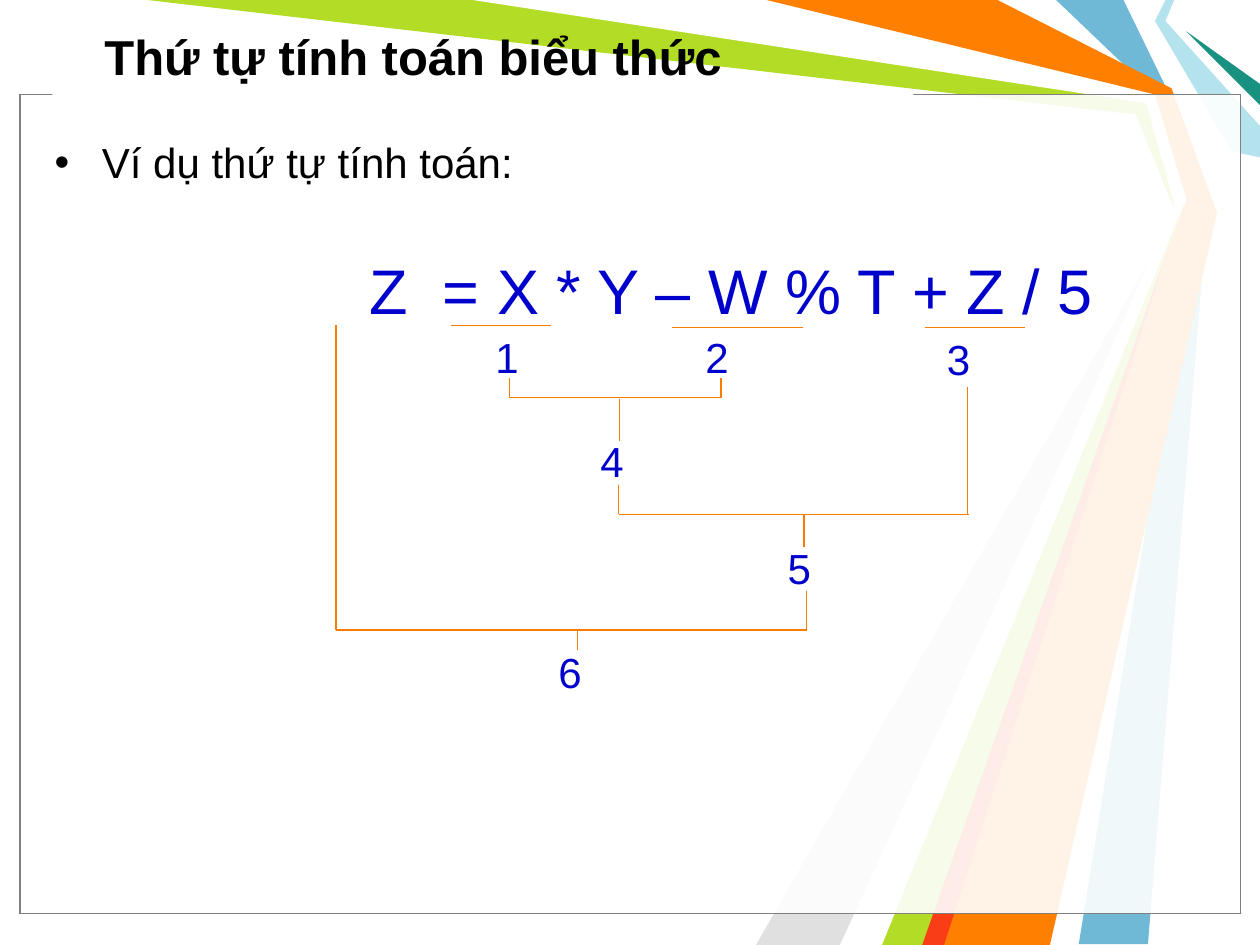
from dataclasses import dataclass
from typing import Any

from lxml.etree import SubElement
from pptx import Presentation
from pptx.dml.color import RGBColor
from pptx.enum.shapes import MSO_CONNECTOR, MSO_SHAPE
from pptx.enum.text import MSO_ANCHOR, MSO_AUTO_SIZE, PP_ALIGN
from pptx.oxml.ns import qn
from pptx.util import Pt

RIBBONS = [
    ("6FB9D7", [(642, 0), (669, 55.5), (690, 120), (656, 539.5), (616.5, 539.5),
                (684, 120), (660, 54), (603.5, 0)]),
    ("B3DC27", [(84, 0), (276, 0), (658, 56), (678, 121.5), (534, 540),
                (498, 540), (673, 124.5), (649, 65.5)]),
    ("E0E0E0", [(480, 540), (667.5, 130.5), (432, 540)]),
    ("FFFFFF", [(270, 0), (655, 59), (671, 116.5), (486, 540), (504, 540),
                (677.5, 114), (660, 54), (432, 0)]),
    ("B4E3EE", [(666, 0), (660, 12), (704, 86.5), (720, 90), (720, 72),
                (666, 12), (671, 0)]),
    ("189180", [(720, 60), (678, 18), (720, 48)]),
    ("FF7F00", [(438, 0), (570, 0), (669.5, 50.5), (695.5, 121.5), (600, 540),
                (528, 540), (678, 114), (660, 54)]),
    ("F93D17", [(527, 540), (671, 132), (539.5, 540)]),
]
STEPS = [(276, 186), (396, 186), (534, 187), (336, 245.5), (443, 306.5), (312, 366)]
UNDERLINES = [(258, 315, 186), (384, 459, 187), (528.5, 585.5, 187)]
BRACKETS = [(291.5, 411.5, 227), (354, 553.5, 294), (192, 461, 360)]
STEMS = [(291, 216, 227.5), (412, 216, 227.5), (354, 228, 252), (553, 221, 294),
         (353.5, 277, 294), (459.5, 294, 312.5), (461, 337.5, 360),
         (192, 186, 360), (330, 360, 371.5)]


def color(value):
    """Turn a hex string into a colour."""
    return RGBColor.from_string(value)


def write(paragraph, text, size=24, ink="000000", bold=False, align=PP_ALIGN.LEFT, before=0):
    """Put formatted text into a paragraph."""
    paragraph.alignment = align
    paragraph.space_before = Pt(before)
    run = paragraph.add_run()
    run.text = text
    run.font.name = "Arial"
    run.font.size = Pt(size)
    run.font.bold = bold
    run.font.color.rgb = color(ink)


def indent(paragraph, margin, hanging=0, bullet=None):
    """Set the indent and the bullet of a paragraph."""
    properties = paragraph._p.get_or_add_pPr()
    properties.set("marL", str(Pt(margin)))
    properties.set("indent", str(-Pt(hanging)))
    if bullet:
        SubElement(properties, qn("a:buChar")).set("char", bullet)
    else:
        SubElement(properties, qn("a:buNone"))


@dataclass
class SlideBuilder:
    """Hold the style and the current slide."""

    slide: Any
    ink: str = "0000CC"
    accent: str = "F97C00"

    def ribbon(self, fill, points):
        """Draw a filled polygon."""
        corners = [(Pt(x), Pt(y)) for x, y in points]
        builder = self.slide.shapes.build_freeform(*corners[0])
        builder.add_line_segments(corners[1:], close=True)
        self.paint(builder.convert_to_shape(), fill)

    def panel(self, left, top, width, height, line=None, opacity=100):
        """Draw a white rectangle."""
        shape = self.slide.shapes.add_shape(
            MSO_SHAPE.RECTANGLE, Pt(left), Pt(top), Pt(width), Pt(height))
        self.paint(shape, "FFFFFF", line)
        if opacity < 100:
            tint = shape._element.spPr.find(qn("a:solidFill"))[0]
            SubElement(tint, qn("a:alpha")).set("val", str(opacity * 1000))

    def paint(self, shape, fill, line=None):
        """Set the fill and the outline of a shape."""
        shape.shadow.inherit = False
        shape.fill.solid()
        shape.fill.fore_color.rgb = color(fill)
        if line:
            shape.line.color.rgb = color(line)
            shape.line.width = Pt(0.75)
        else:
            shape.line.fill.background()

    def placeholder(self, index, left, top, width, height, anchor):
        """Place a template placeholder in front and return its text frame."""
        shape = self.slide.placeholders[index]
        shape.left, shape.top, shape.width, shape.height = map(Pt, (left, top, width, height))
        self.slide.shapes._spTree.append(shape._element)
        frame = shape.text_frame
        frame.auto_size = MSO_AUTO_SIZE.NONE
        frame.vertical_anchor = anchor
        return frame

    def label(self, text, left, top):
        """Add the number of a calculation step."""
        box = self.slide.shapes.add_textbox(Pt(left), Pt(top), Pt(30), Pt(36))
        box.text_frame.word_wrap = True
        write(box.text_frame.paragraphs[0], text, ink=self.ink)

    def line(self, start_x, start_y, end_x, end_y):
        """Draw a straight connector."""
        connector = self.slide.shapes.add_connector(
            MSO_CONNECTOR.STRAIGHT, Pt(start_x), Pt(start_y), Pt(end_x), Pt(end_y))
        connector.line.color.rgb = color(self.accent)
        connector.line.width = Pt(0.75)
        SubElement(connector._element.spPr, qn("a:effectLst"))


def main():
    """Build the slide and save it."""
    presentation = Presentation()
    presentation.slide_width, presentation.slide_height = Pt(720), Pt(540)
    builder = SlideBuilder(presentation.slides.add_slide(presentation.slide_layouts[1]))

    for fill, points in RIBBONS:
        builder.ribbon(fill, points)
    for outline in ("000000", "808080"):
        builder.panel(11.5, 54, 697.5, 468, line=outline, opacity=69)
    builder.panel(30, 53, 492, 12)

    title = builder.placeholder(0, 52.5, 7, 656, 50, MSO_ANCHOR.MIDDLE)
    write(title.paragraphs[0], "Thứ tự tính toán biểu thức", size=28, bold=True)

    body = builder.placeholder(1, 24, 72, 675, 444, MSO_ANCHOR.TOP)
    body.margin_top = Pt(6)
    example = body.paragraphs[0]
    indent(example, 27, hanging=27, bullet="•")
    write(example, "Ví dụ thứ tự tính toán:", align=PP_ALIGN.JUSTIFY)
    formula = body.add_paragraph()
    indent(formula, 180)
    write(formula, "Z  = X * Y – W % T + Z / 5", size=36, ink=builder.ink,
          align=PP_ALIGN.JUSTIFY, before=37)

    for number, (left, top) in enumerate(STEPS, start=1):
        builder.label(str(number), left, top)
    for left, right, y in UNDERLINES + BRACKETS:
        builder.line(left, y, right, y)
    for x, top, bottom in STEMS:
        builder.line(x, top, x, bottom)

    presentation.save("out.pptx")


if __name__ == "__main__":
    main()
